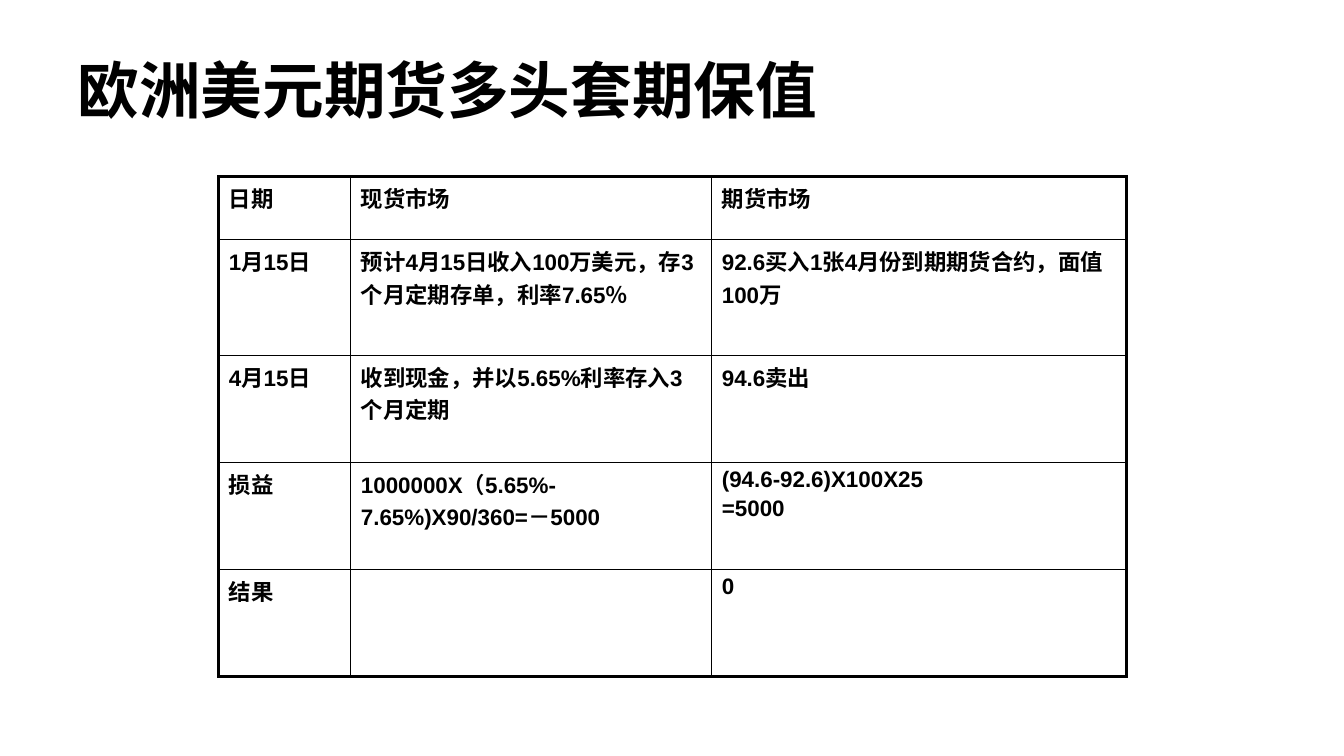
from lxml import etree
from pptx import Presentation
from pptx.dml.color import RGBColor
from pptx.enum.text import MSO_ANCHOR, PP_ALIGN
from pptx.oxml.ns import qn
from pptx.util import Inches, Pt

COLORS = {"ink": "000000", "paper": "FFFFFF"}
CJK_FONT = "Noto Sans CJK SC"
GRID_WIDTH, FRAME_WIDTH = 1, 2.25
COLUMN_WIDTHS = [1.31, 3.58, 4.11]
ROW_HEIGHTS = [0.63, 1.15, 1.06, 1.06, 1.06]
HEDGE_ROWS = [
    ["日期", "现货市场", "期货市场"],
    ["1月15日", "预计4月15日收入100万美元，存3个月定期存单，利率7.65％",
     "92.6买入1张4月份到期期货合约，面值100万"],
    ["4月15日", "收到现金，并以5.65%利率存入3个月定期", "94.6卖出"],
    ["损益", "1000000X（5.65%-7.65%)X90/360=－5000", "(94.6-92.6)X100X25\n=5000"],
    ["结果", "", "0"],
]


def style_paragraph(paragraph, size, latin):
    font = paragraph.font
    font.size = Pt(size)
    font.bold = True
    font.name = latin
    font.color.rgb = RGBColor.from_string(COLORS["ink"])
    defaults = paragraph._p.pPr.find(qn("a:defRPr"))
    etree.SubElement(defaults, qn("a:ea"), typeface=CJK_FONT)


def add_border(cell, side, width):
    line = etree.SubElement(cell._tc.get_or_add_tcPr(), qn(f"a:ln{side}"), w=str(Pt(width)))
    fill = etree.SubElement(line, qn("a:solidFill"))
    etree.SubElement(fill, qn("a:srgbClr"), val=COLORS["ink"])


prs = Presentation()
prs.slide_width, prs.slide_height = Inches(13.33), Inches(7.5)
slide = prs.slides.add_slide(prs.slide_layouts[5])

title = slide.shapes.title
title.left, title.top = Inches(0.67), Inches(0.3)
title.width, title.height = Inches(12), Inches(1.25)
title.text_frame.text = "欧洲美元期货多头套期保值"
title.text_frame.vertical_anchor = MSO_ANCHOR.MIDDLE
heading = title.text_frame.paragraphs[0]
heading.alignment = PP_ALIGN.LEFT
heading.line_spacing = 0.9
style_paragraph(heading, 44, CJK_FONT)

last_row, last_column = len(ROW_HEIGHTS) - 1, len(COLUMN_WIDTHS) - 1
hedge = slide.shapes.add_table(
    len(ROW_HEIGHTS), len(COLUMN_WIDTHS), Inches(2.17), Inches(1.75),
    Inches(sum(COLUMN_WIDTHS)), Inches(sum(ROW_HEIGHTS))).table
hedge.first_row = hedge.horz_banding = False
for column, width in zip(hedge.columns, COLUMN_WIDTHS):
    column.width = Inches(width)

for r, (height, texts) in enumerate(zip(ROW_HEIGHTS, HEDGE_ROWS)):
    hedge.rows[r].height = Inches(height)
    for c, text in enumerate(texts):
        cell = hedge.cell(r, c)
        cell.text = text
        on_frame = {"L": c == 0, "R": c == last_column, "T": r == 0, "B": r == last_row}
        for side, outer in on_frame.items():
            add_border(cell, side, FRAME_WIDTH if outer else GRID_WIDTH)
        cell.fill.solid()
        cell.fill.fore_color.rgb = RGBColor.from_string(COLORS["paper"])
        for i, paragraph in enumerate(cell.text_frame.paragraphs):
            if i:
                paragraph.space_before = Pt(3)
            style_paragraph(paragraph, 16, "Arial")

prs.save("out.pptx")
